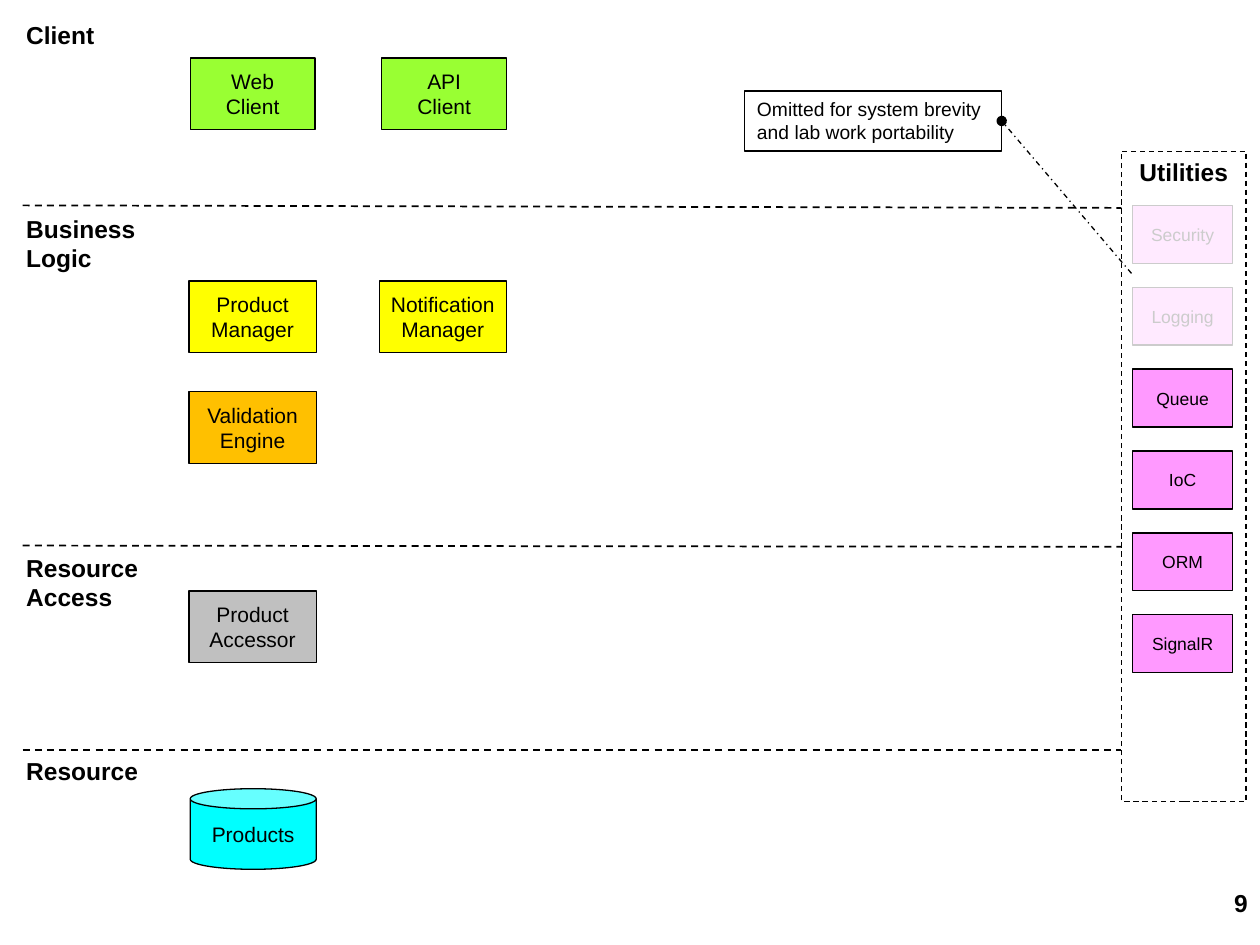
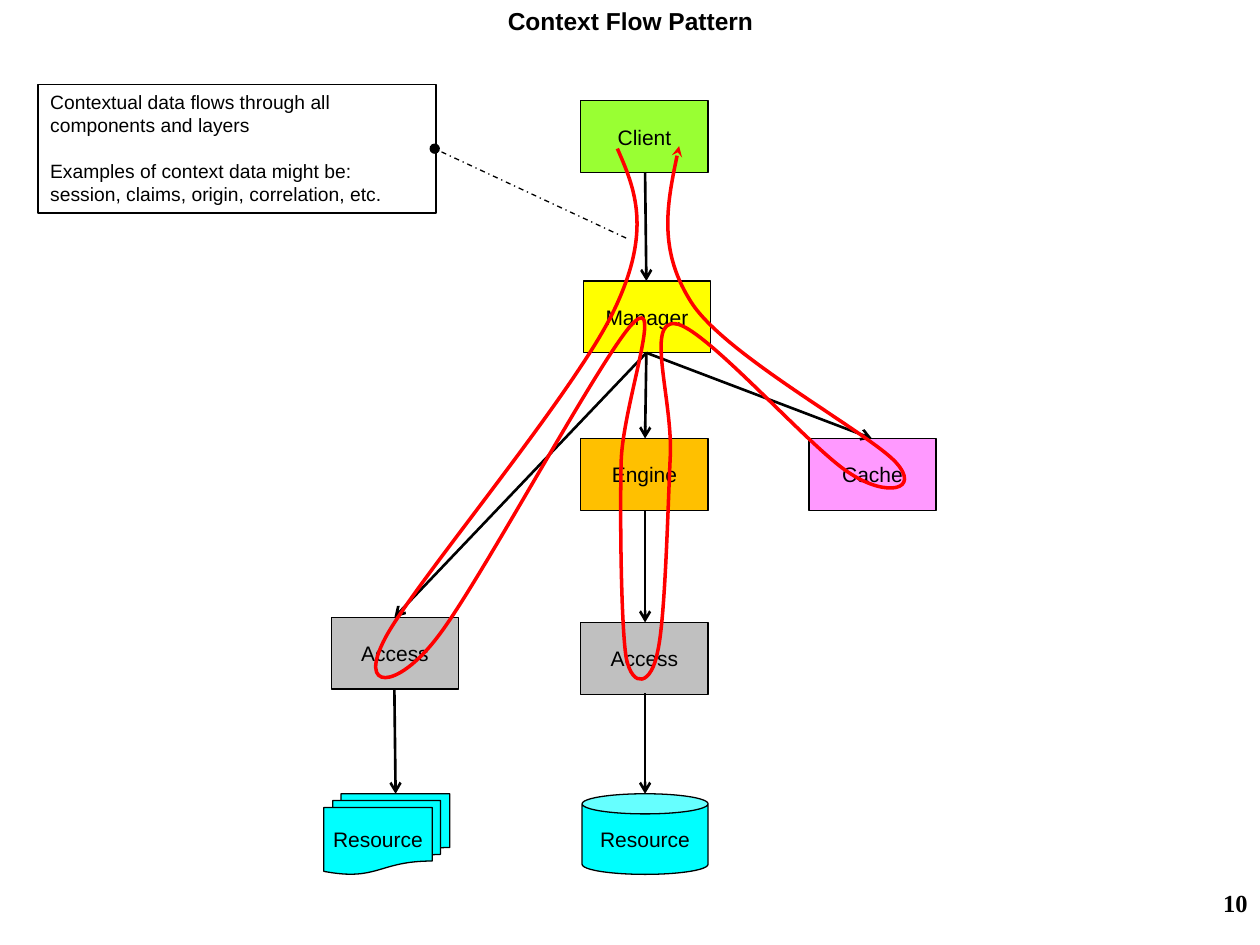
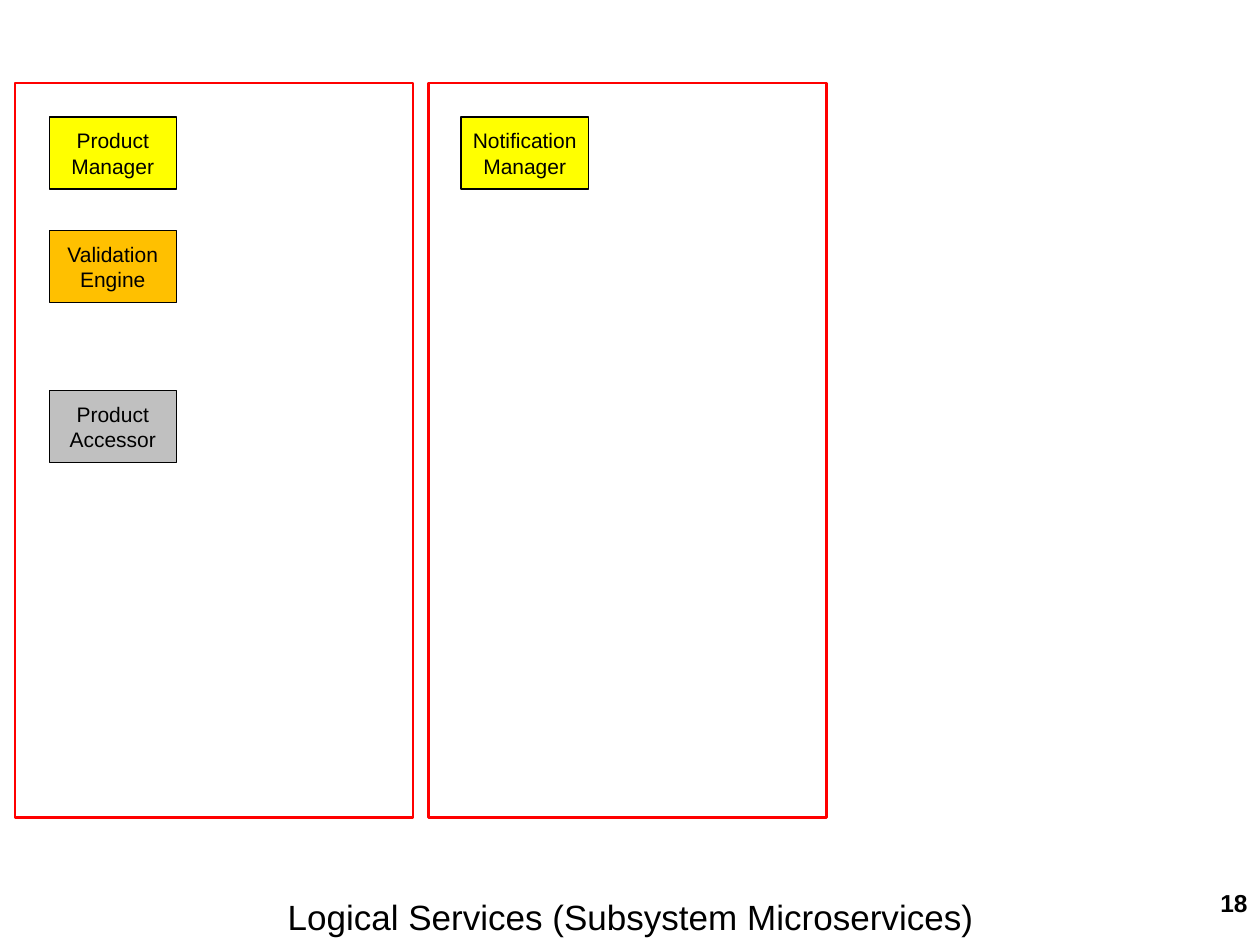
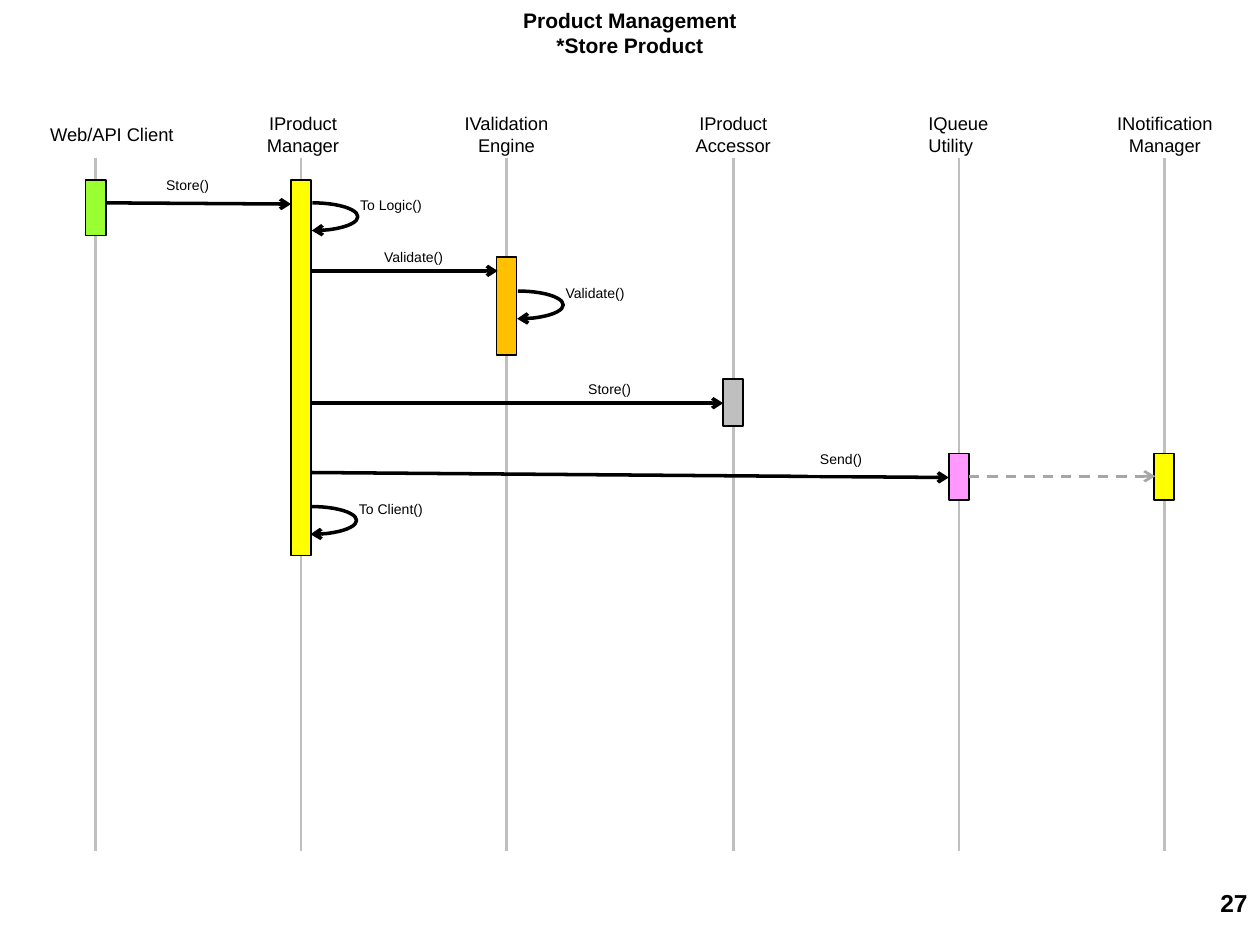
from lxml.etree import SubElement
from pptx import Presentation
from pptx.dml.color import RGBColor
from pptx.enum.dml import MSO_LINE as DASH
from pptx.enum.shapes import MSO_CONNECTOR, MSO_SHAPE as SHAPE
from pptx.enum.text import MSO_ANCHOR as ANCHOR, MSO_AUTO_SIZE as AUTO, PP_ALIGN as ALIGN
from pptx.oxml.ns import qn
from pptx.util import Pt

PX = 9144  # 100 px to the inch
BLACK = RGBColor(0x00, 0x00, 0x00)
WHITE = RGBColor(0xFF, 0xFF, 0xFF)
RED = RGBColor(0xFF, 0x00, 0x00)
GREEN = RGBColor(0x99, 0xFF, 0x33)
YELLOW = RGBColor(0xFF, 0xFF, 0x00)
ORANGE = RGBColor(0xFF, 0xC0, 0x00)
PINK = RGBColor(0xFF, 0x99, 0xFF)
CYAN = RGBColor(0x00, 0xFF, 0xFF)
SILVER = RGBColor(0xC0, 0xC0, 0xC0)
RAIL_GRAY = RGBColor(0xBF, 0xBF, 0xBF)
ASYNC_GRAY = RGBColor(0xA6, 0xA6, 0xA6)

BOX_W, BOX_H = 101, 57
BAR_W = 16
RAIL_TOP, RAIL_BOTTOM = 125, 675

# Start point, then control, control and end point of each curve
FLOW_START = (490, 118)
FLOW_CURVES = [
    (504, 150), (518, 183), (487, 247),
    (456, 312), (329, 463), (306, 506),
    (283, 549), (315, 548), (347, 506),
    (380, 464), (479, 279), (503, 256),
    (527, 233), (494, 323), (493, 367),
    (492, 412), (493, 497), (497, 522),
    (502, 547), (517, 544), (522, 517),
    (528, 491), (530, 405), (532, 362),
    (534, 318), (512, 254), (536, 257),
    (559, 259), (645, 358), (675, 376),
    (704, 395), (731, 389), (711, 367),
    (690, 344), (579, 284), (550, 242),
    (522, 200), (530, 158), (539, 116),
]


def write(s, text, size, align=ALIGN.LEFT, anchor=ANCHOR.TOP, bold=False, wrap=True, font="Arial"):
    tf = s.text_frame
    tf.text = text
    tf.word_wrap = wrap
    tf.vertical_anchor = anchor
    for p in tf.paragraphs:
        p.alignment = align
        for r in p.runs:
            r.font.name, r.font.size, r.font.bold = font, Pt(size), bold
            r.font.color.rgb = BLACK


def style_line(s, color, width, dash=None, tail=None):
    s.line.color.rgb = color
    s.line.width = Pt(width)
    if dash:
        s.line.dash_style = dash
    if tail:
        SubElement(s._element.spPr.find(qn("a:ln")), qn("a:tailEnd"), type=tail)


def style_fill(s, color, opacity=100):
    if color is None:
        s.fill.background()
        return
    s.fill.solid()
    s.fill.fore_color.rgb = color
    if opacity < 100:
        clr = s._element.spPr.find(qn("a:solidFill")).find(qn("a:srgbClr"))
        SubElement(clr, qn("a:alpha"), val=str(opacity * 1000))


def add_preset(slide, x, y, w, h, fill=None, line=BLACK, width=0.75, kind=SHAPE.RECTANGLE,
               opacity=100, dash=None, tail=None):
    s = slide.shapes.add_shape(kind, x * PX, y * PX, w * PX, h * PX)
    s.shadow.inherit = False
    style_fill(s, fill, opacity)
    if line is None:
        s.line.fill.background()
    else:
        style_line(s, line, width, dash, tail)
    return s


def add_box(slide, text, x, y, fill, w=BOX_W, h=BOX_H, size=12, kind=SHAPE.RECTANGLE):
    """Add a component with its centred name."""
    s = add_preset(slide, x, y, w, h, fill, kind=kind)
    write(s, text, size, ALIGN.CENTER, ANCHOR.MIDDLE, wrap=False)


def add_store(slide, text, x, y, kind=SHAPE.CAN):
    add_box(slide, text, x, y, CYAN, 100, 64, kind=kind)


def add_text(slide, text, x, y, w, h, size, **style):
    s = slide.shapes.add_textbox(x * PX, y * PX, w * PX, h * PX)
    write(s, text, size, **style)
    s.text_frame.auto_size = AUTO.SHAPE_TO_FIT_TEXT
    return s


def add_line(slide, x1, y1, x2, y2, color=BLACK, width=1.5, dash=None, tail=None):
    s = slide.shapes.add_connector(MSO_CONNECTOR.STRAIGHT, x1 * PX, y1 * PX, x2 * PX, y2 * PX)
    style_line(s, color, width, dash, tail)
    SubElement(s._element.spPr, qn("a:effectLst"))


def add_callout(slide, text, x, y, w, h, target, pin):
    """Add a note and the dotted line from its target to the pin on its edge."""
    s = add_preset(slide, x, y, w, h, WHITE, width=1)
    write(s, text, 11)
    add_line(slide, *target, *pin, width=0.75, dash=DASH.DASH_DOT, tail="oval")
    return s


def add_flow(slide, start, points):
    """Add a red path of cubic curves, three points to a curve."""
    builder = slide.shapes.build_freeform(*start, scale=PX)
    builder.add_line_segments(points, close=False)
    s = builder.convert_to_shape()
    s.shadow.inherit = False
    s.fill.background()
    style_line(s, RED, 2, tail="stealth")
    path = next(s._element.iter(qn("a:path")))
    segments = path.findall(qn("a:lnTo"))
    for i in range(0, len(segments), 3):
        curve = SubElement(path, qn("a:cubicBezTo"))
        for segment in segments[i:i + 3]:
            curve.append(segment[0])
            path.remove(segment)


def add_message_label(slide, text, x, y, w, h=24):
    s = add_preset(slide, x, y, w, h, WHITE, None, opacity=90)
    write(s, text, 8)


def add_self_call(slide, text, x, y):
    """Add a looping arrow and the name of the call to its right."""
    s = add_preset(slide, x, y, 72, 22, width=2, kind=SHAPE.ARC, tail="arrow")
    s.adjustments[1] = 55.73
    add_text(slide, text, x + 64, y - 10, 90, 24, 8)


def add_slide(prs, number, font="Arial"):
    """Add a blank slide with its page number."""
    slide = prs.slides.add_slide(prs.slide_layouts[6])
    s = slide.shapes.add_textbox(792 * PX, 700 * PX, 208 * PX, 50 * PX)
    write(s, str(number), 14, ALIGN.RIGHT, bold=True, font=font)
    return slide


def build_layers(prs):
    slide = add_slide(prs, 9)
    for text, y, w, h in [("Client", 11, 74, 34), ("Business\nLogic", 165, 107, 57),
                          ("Resource\nAccess", 434, 109, 57), ("Resource", 595, 109, 57)]:
        add_text(slide, text, 11, y, w, h, 14, bold=True, wrap=False)

    s = add_preset(slide, 890, 120, 99, 516, dash=DASH.DASH)
    write(s, "Utilities", 14, ALIGN.CENTER, bold=True, wrap=False)
    for i, text in enumerate(["Security", "Logging", "Queue", "IoC", "ORM", "SignalR"]):
        add_box(slide, text, 899, 163 + 65 * i, PINK, 79, 46, 10)

    for y1, y2 in [(163, 165), (433, 434), (595, 595)]:
        add_line(slide, 18, y1, 890, y2, width=1, dash=DASH.DASH)

    for text, x in [("Web\nClient", 151), ("API\nClient", 303)]:
        add_box(slide, text, x, 46, GREEN, 99)
    add_box(slide, "Product\nManager", 150, 223, YELLOW)
    add_box(slide, "Notification\nManager", 301, 223, YELLOW)
    add_box(slide, "Validation\nEngine", 150, 311, ORANGE)
    add_box(slide, "Product\nAccessor", 150, 469, SILVER)
    add_store(slide, "Products", 151, 626)

    add_preset(slide, 898, 154, 83, 127, WHITE, None, opacity=80)
    add_callout(slide, "Omitted for system brevity and lab work portability",
                591, 72, 204, 48, (898, 217), (795, 96))


def build_context_flow(prs):
    slide = add_slide(prs, 10, "Times New Roman")
    for text, x, y, fill in [("Client", 461, 80, GREEN), ("Manager", 463, 223, YELLOW),
                             ("Engine", 461, 348, ORANGE), ("Cache", 642, 348, PINK),
                             ("Access", 461, 494, SILVER), ("Access", 263, 490, SILVER)]:
        add_box(slide, text, x, y, fill)
    add_store(slide, "Resource", 462, 630)
    add_store(slide, "Resource", 257, 630, SHAPE.FLOWCHART_MULTIDOCUMENT)

    manager_exit = (513, 280)
    for start, end in [((512, 137), (513, 223)), (manager_exit, (512, 348)),
                       (manager_exit, (692, 348)), (manager_exit, (313, 490)),
                       ((512, 405), (512, 494)), ((512, 550), (512, 630)),
                       ((313, 547), (314, 630))]:
        add_line(slide, *start, *end, tail="arrow")

    add_flow(slide, FLOW_START, FLOW_CURVES)
    add_text(slide, "Context Flow Pattern", 393, 0, 215, 34, 14, align=ALIGN.CENTER, bold=True)
    s = add_callout(slide, "Contextual data flows through all components and layers\n"
                    "Examples of context data might be:\n"
                    "session, claims, origin, correlation, etc.",
                    30, 67, 316, 102, (497, 189), (345, 118))
    s.text_frame.paragraphs[1].space_before = Pt(13)


def build_services(prs):
    slide = add_slide(prs, 18)
    for x in (12, 340):
        add_preset(slide, x, 66, 316, 583, line=RED, width=1.5)
    add_text(slide, "Logical Services (Subsystem Microservices)", 216, 706, 569, 44, 20,
             align=ALIGN.CENTER, wrap=False)
    add_box(slide, "Product\nManager", 39, 93, YELLOW)
    add_box(slide, "Validation\nEngine", 39, 183, ORANGE)
    add_box(slide, "Product\nAccessor", 39, 310, SILVER)
    add_box(slide, "Notification\nManager", 366, 93, YELLOW)


def build_store_sequence(prs):
    slide = add_slide(prs, 27)
    add_text(slide, "Product Management\n*Store Product", 405, 1, 190, 71, 12,
             align=ALIGN.CENTER, bold=True)

    for x, fill, y, h in [(76, GREEN, 143, 44), (239, YELLOW, 143, 298),
                          (402, ORANGE, 204, 78), (582, RAIL_GRAY, 301, 37),
                          (761, PINK, 360, 37), (924, YELLOW, 360, 37)]:
        add_line(slide, x, RAIL_TOP, x, RAIL_BOTTOM, RAIL_GRAY)
        add_preset(slide, x - BAR_W // 2, y, BAR_W, h, fill, width=1)

    for text, x, y, w, h, align in [
            ("Web/API Client", 30, 93, 120, 28, ALIGN.LEFT),
            ("IProduct\nManager", 200, 84, 81, 47, ALIGN.CENTER),
            ("IValidation\nEngine", 356, 84, 92, 47, ALIGN.CENTER),
            ("IProduct\nAccessor", 540, 84, 84, 47, ALIGN.CENTER),
            ("IQueue\nUtility", 727, 84, 69, 45, ALIGN.LEFT),
            ("INotification\nManager", 874, 84, 101, 47, ALIGN.CENTER)]:
        add_text(slide, text, x, y, w, h, 10.5, align=align, wrap=False)

    add_message_label(slide, "Store()", 122, 135, 56)
    add_message_label(slide, "Validate()", 295, 192, 72)
    add_message_label(slide, "Store()", 457, 297, 59, 21)
    for x1, y1, x2, y2 in [(84, 161, 231, 162), (248, 215, 395, 215),
                           (247, 320, 574, 320), (247, 375, 753, 379)]:
        add_line(slide, x1, y1, x2, y2, width=2, tail="arrow")
    add_message_label(slide, "Send()", 641, 353, 54)
    add_line(slide, 769, 378, 917, 378, ASYNC_GRAY, dash=DASH.DASH, tail="arrow")

    add_self_call(slide, "To Logic()", 212, 161)
    add_self_call(slide, "Validate()", 375, 231)
    add_self_call(slide, "To Client()", 211, 402)


def main():
    prs = Presentation()
    prs.slide_width, prs.slide_height = 1000 * PX, 750 * PX
    build_layers(prs)
    build_context_flow(prs)
    build_services(prs)
    build_store_sequence(prs)
    prs.save("out.pptx")


if __name__ == "__main__":
    main()
